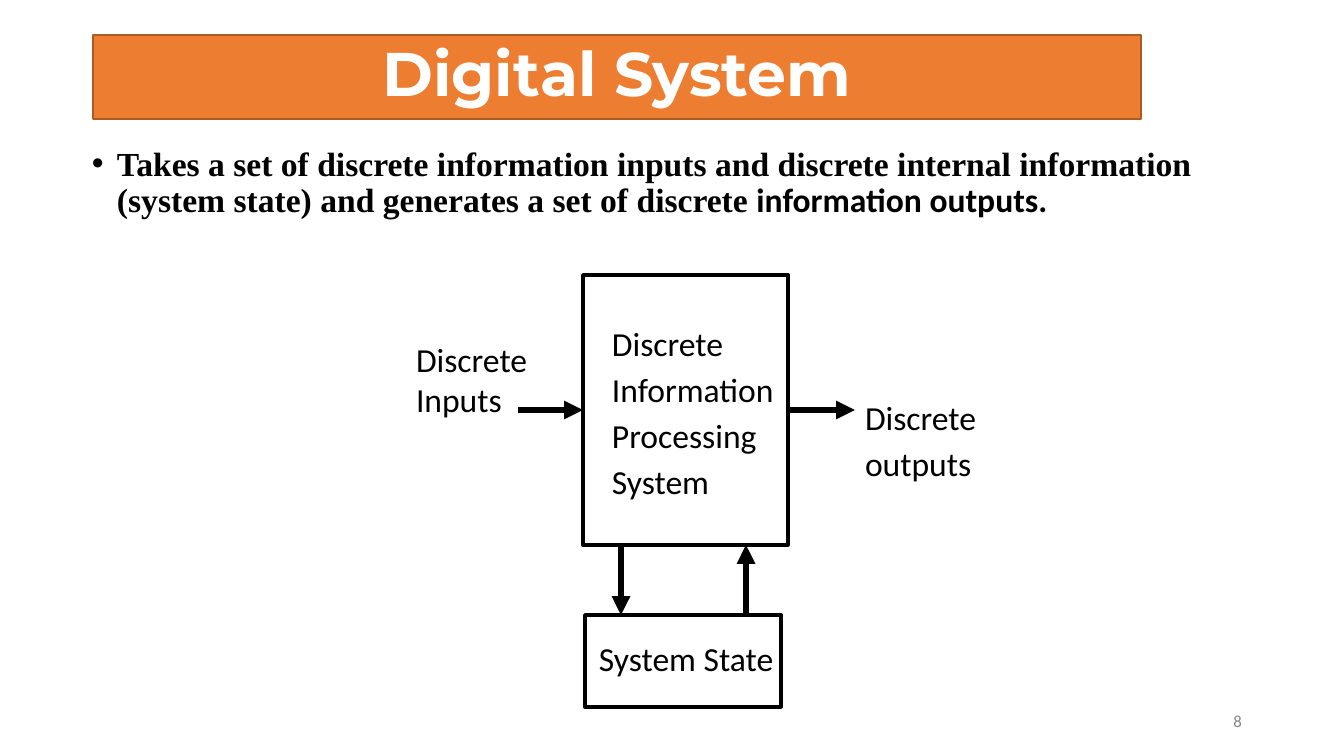
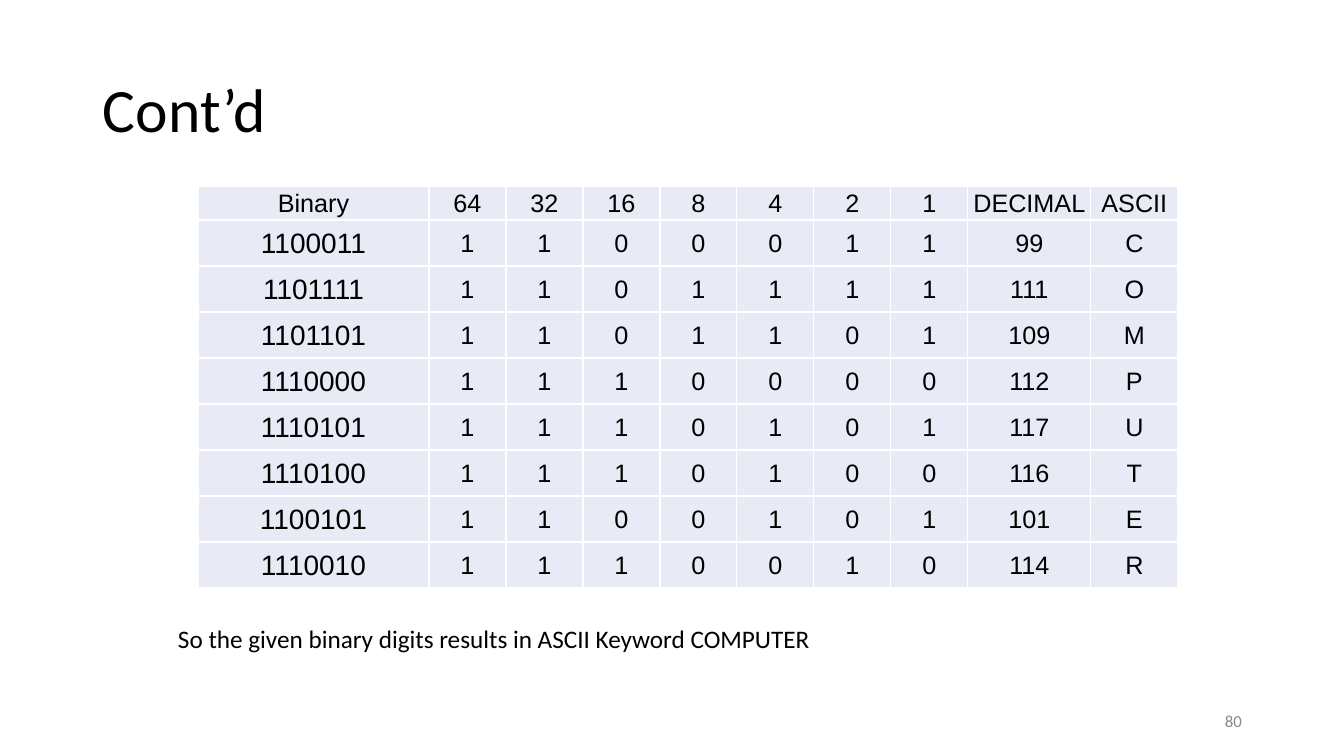
from lxml import etree
from pptx import Presentation
from pptx.dml.color import RGBColor
from pptx.enum.shapes import MSO_CONNECTOR, MSO_SHAPE
from pptx.enum.text import MSO_ANCHOR, MSO_AUTO_SIZE, PP_ALIGN
from pptx.oxml import parse_xml
from pptx.oxml.ns import nsdecls, qn
from pptx.util import Pt

EMU_PER_PX = 914400 / 100.8
BLACK = RGBColor(0x00, 0x00, 0x00)
WHITE = RGBColor(0xFF, 0xFF, 0xFF)
GREY = RGBColor(0x88, 0x88, 0x88)
ORANGE = RGBColor(0xED, 0x7D, 0x31)
DARK_ORANGE = RGBColor(0xAC, 0x5B, 0x23)
PALE_BLUE = RGBColor(0xE8, 0xEB, 0xF5)

TITLE = {"name": "Calibri", "size": Pt(44), "bold": False}
BANNER_TITLE = {"name": "Montserrat", "size": Pt(44), "bold": True}
BODY = {"name": "Times New Roman", "size": Pt(24), "bold": True}
BODY_END = {**BODY, "name": "Calibri"}
LABEL = {"name": "Calibri", "size": Pt(24)}
NOTE = {"name": "Calibri", "size": Pt(18)}
PAGE_NUMBER = {"name": "Calibri", "size": Pt(12)}
CELL = {"name": "Arial", "size": Pt(18), "bold": False}
BINARY_CELL = {**CELL, "size": Pt(20)}


def px(*lengths):
    return [round(length * EMU_PER_PX) for length in lengths]


def write(shape, bounds, spans, color=BLACK, inset=(10, 5), **layout):
    """Place a shape and fill its first paragraph with (text, font values) spans."""
    shape.left, shape.top, shape.width, shape.height = px(*bounds)
    frame = shape.text_frame
    side, edge = px(*inset)
    frame_values = {"word_wrap": True, "auto_size": MSO_AUTO_SIZE.NONE,
                    "vertical_anchor": layout.pop("anchor", MSO_ANCHOR.TOP),
                    "margin_left": side, "margin_right": side,
                    "margin_top": edge, "margin_bottom": edge}
    for name, value in frame_values.items():
        setattr(frame, name, value)
    para = frame.paragraphs[0]
    for name, value in {"alignment": PP_ALIGN.LEFT, "space_before": Pt(0), **layout}.items():
        setattr(para, name, value)
    for text, font_values in spans:
        span = para.add_run()
        span.text = text
        span.font.color.rgb = color
        for name, value in font_values.items():
            setattr(span.font, name, value)
    return para


deck = Presentation()
deck.slide_width, deck.slide_height = px(1344, 756)
system_page = deck.slides.add_slide(deck.slide_layouts[1])
ascii_page = deck.slides.add_slide(deck.slide_layouts[5])

# Titles and page numbers
title_styles = [
    (system_page, "Digital System", BANNER_TITLE, (93, 35, 1048, 84), WHITE, PP_ALIGN.CENTER, "8"),
    (ascii_page, "Cont’d", TITLE, (93, 40, 1159, 146), BLACK, PP_ALIGN.LEFT, "80"),
]
for page, text, font_values, bounds, color, alignment, number in title_styles:
    write(page.shapes.title, bounds, [(text, font_values)], color,
          anchor=MSO_ANCHOR.MIDDLE, alignment=alignment, line_spacing=0.9)
    write(page.shapes.add_textbox(0, 0, 0, 0), (950, 701, 302, 40), [(number, PAGE_NUMBER)],
          GREY, anchor=MSO_ANCHOR.MIDDLE, alignment=PP_ALIGN.RIGHT)

banner = system_page.shapes.title
banner.fill.solid()
banner.fill.fore_color.rgb = ORANGE
banner.line.color.rgb = DARK_ORANGE
banner.line.width = Pt(1)

# Digital system: definition
definition = write(system_page.placeholders[1], (82, 142, 1159, 480), [
    ("Takes a set of discrete information inputs and discrete internal information "
     "(system state) and generates a set of discrete ", BODY),
    ("information outputs.", BODY_END),
], line_spacing=0.9)
bullet_indent = px(25)[0]
properties = definition._p.get_or_add_pPr()
properties.set("marL", str(bullet_indent))
properties.set("indent", str(-bullet_indent))
etree.SubElement(properties, qn("a:buFont")).set("typeface", "Arial")
etree.SubElement(properties, qn("a:buChar")).set("char", "•")

# Digital system: block diagram
blocks = []
for bounds in [(583, 275, 205, 270), (585, 615, 196, 92)]:
    block = system_page.shapes.add_shape(MSO_SHAPE.RECTANGLE, *px(*bounds))
    block.shadow.inherit = False
    block.fill.background()
    block.line.color.rgb = BLACK
    block.line.width = Pt(2.5)
    blocks.append(block)
processor, state = blocks

labels = [
    ("System State", 599, 638, 180, 45),
    ("Discrete Inputs", 416, 339, 126, 82),
]
labels += [(word, 612, 323 + 46 * row, 165, 45)
           for row, word in enumerate(["Discrete", "Information", "Processing", "System"])]
labels += [(word, 865, 397 + 46 * row, 129, 40)
           for row, word in enumerate(["Discrete", "outputs"])]
for text, *bounds in labels:
    write(system_page.shapes.add_textbox(0, 0, 0, 0), bounds, [(text, LABEL)], inset=(0, 0))

arrows = []
for ends in [(518, 410, 583, 410), (788, 410, 855, 410),
             (621, 545, 621, 615), (746, 615, 746, 545)]:
    arrow = system_page.shapes.add_connector(MSO_CONNECTOR.STRAIGHT, *px(*ends))
    arrow.line.color.rgb = BLACK
    arrow.line.width = Pt(4.5)
    etree.SubElement(arrow.line._get_or_add_ln(), qn("a:tailEnd")).set("type", "triangle")
    etree.SubElement(arrow._element.spPr, qn("a:effectLst"))
    arrows.append(arrow)
arrows[0].end_connect(processor, 1)
arrows[1].begin_connect(processor, 3)

# ASCII table: each letter's code, split into its bits
rows = [["Binary", *(str(2 ** power) for power in range(6, -1, -1)), "DECIMAL", "ASCII"]]
for letter in "computer":
    binary = f"{ord(letter):07b}"
    rows.append([binary, *binary, str(ord(letter)), letter.upper()])
column_widths = [231] + [77] * 7 + [123, 87]
row_heights = [34] + [46] * 8

table = ascii_page.shapes.add_table(
    len(rows), len(column_widths),
    *px(198, 186, sum(column_widths), sum(row_heights))).table
table.first_row = table.horz_banding = False
for column, width in zip(table.columns, px(*column_widths)):
    column.width = width
for row, height in zip(table.rows, px(*row_heights)):
    row.height = height

margin = px(1)[0]
cell_values = {"vertical_anchor": MSO_ANCHOR.MIDDLE, "margin_left": margin,
               "margin_right": margin, "margin_top": margin, "margin_bottom": 0}
for row_index, texts in enumerate(rows):
    for column_index, text in enumerate(texts):
        cell = table.cell(row_index, column_index)
        cell.text = text
        for name, value in cell_values.items():
            setattr(cell, name, value)
        para = cell.text_frame.paragraphs[0]
        para.alignment = PP_ALIGN.CENTER
        font = para.runs[0].font
        font.color.rgb = BLACK
        for name, value in (BINARY_CELL if row_index and not column_index else CELL).items():
            setattr(font, name, value)
        cell_properties = cell._tc.get_or_add_tcPr()
        for side in ("lnL", "lnR", "lnT", "lnB"):
            cell_properties.append(parse_xml(
                f'<a:{side} {nsdecls("a")} w="{Pt(1)}"><a:solidFill>'
                f'<a:srgbClr val="{WHITE}"/></a:solidFill></a:{side}>'))
        cell.fill.solid()
        cell.fill.fore_color.rgb = PALE_BLUE

write(ascii_page.shapes.add_textbox(0, 0, 0, 0), (168, 618, 1022, 40),
      [("So the given binary digits results in ASCII Keyword COMPUTER", NOTE)])

deck.save("out.pptx")
